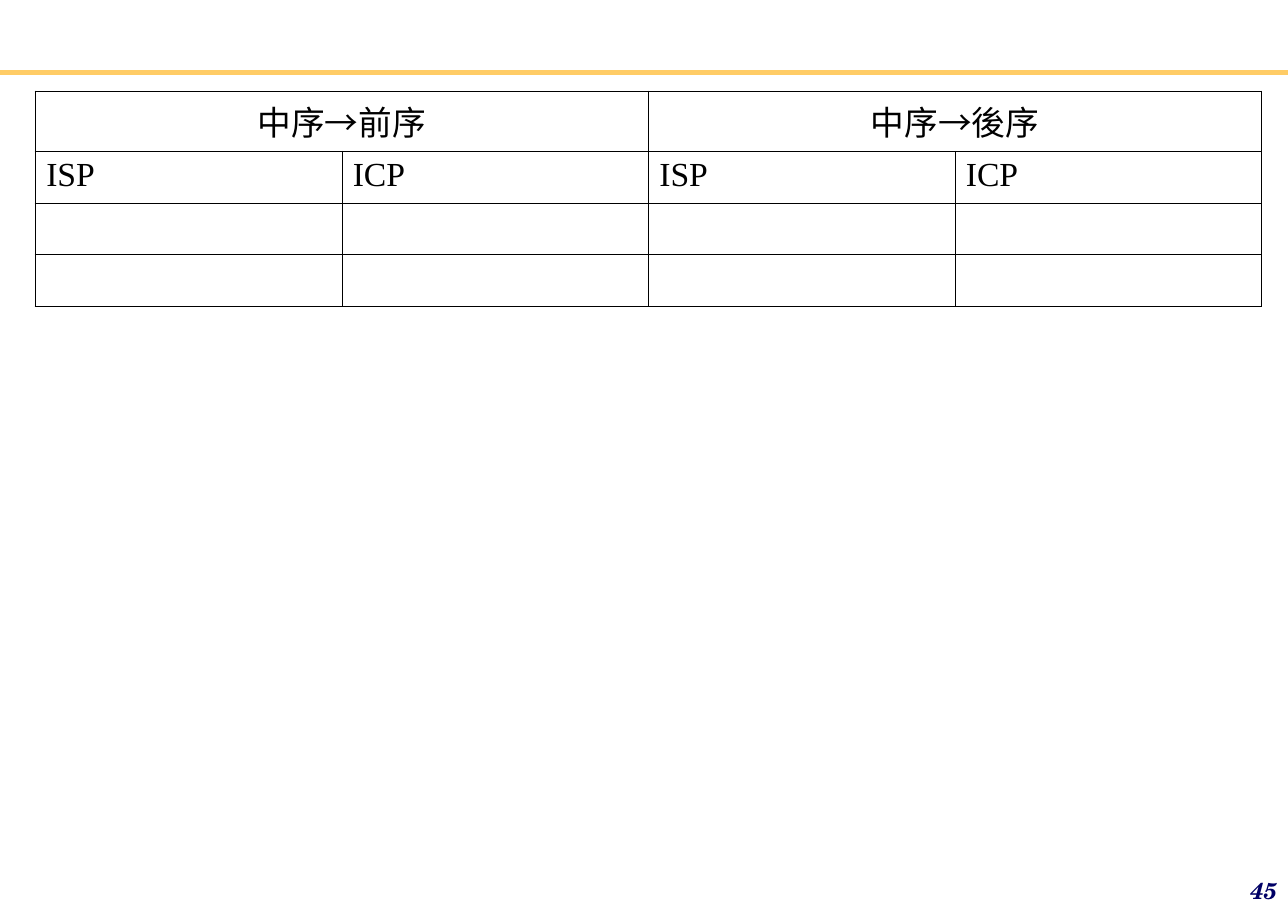
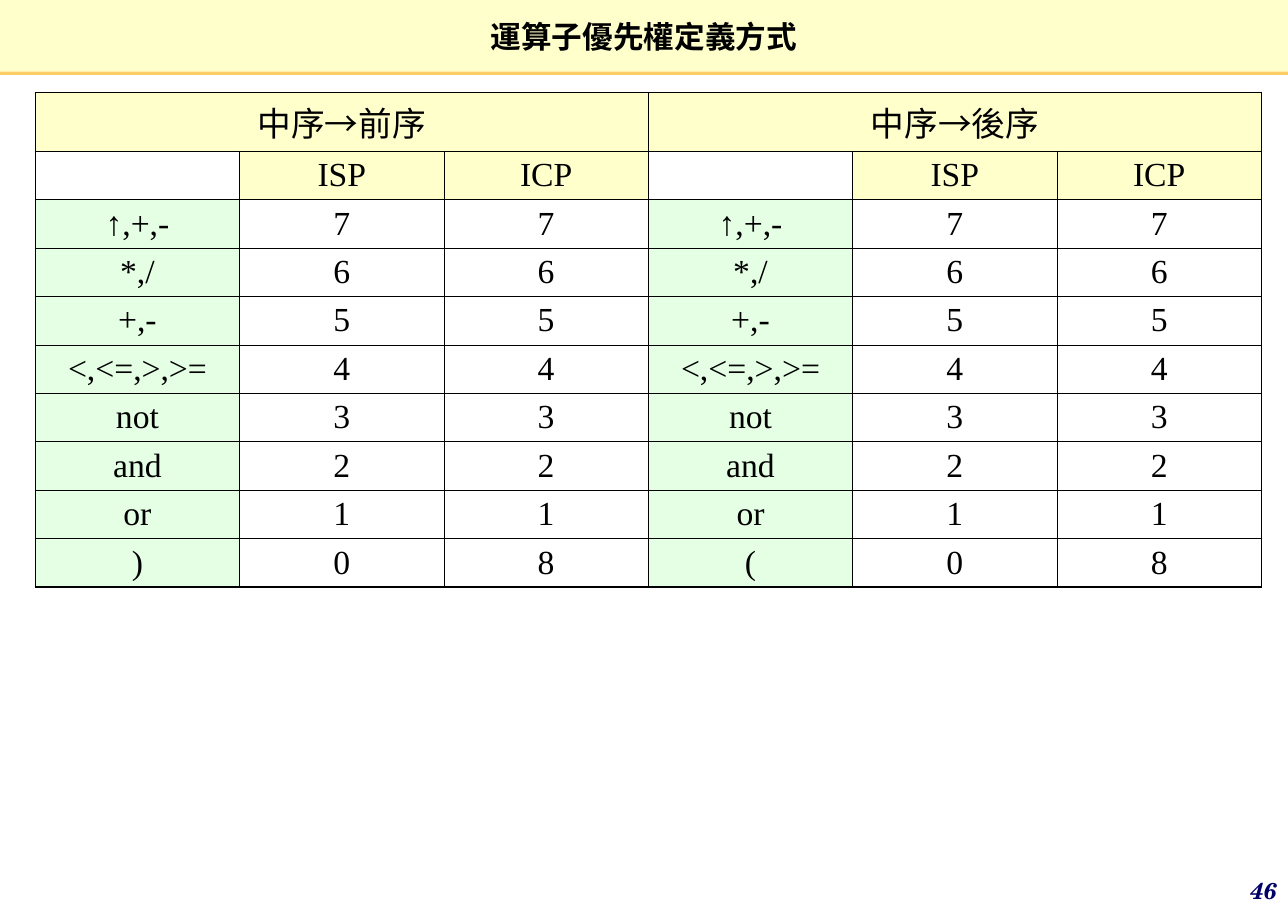
from dataclasses import dataclass

from lxml.etree import SubElement
from pptx import Presentation
from pptx.dml.color import RGBColor as RGB
from pptx.enum.text import MSO_ANCHOR as ANCHOR, MSO_AUTO_SIZE as FIT, PP_ALIGN as ALIGN
from pptx.oxml import parse_xml
from pptx.oxml.ns import nsdecls, qn
from pptx.util import Inches, Pt


@dataclass(frozen=True)
class Theme:
    black: RGB = RGB.from_string("000000")
    navy: RGB = RGB.from_string("000066")
    gold: RGB = RGB.from_string("FFCC66")
    cream: RGB = RGB.from_string("FFFFCC")
    mint: RGB = RGB.from_string("E5FFE5")
    text_font: str = "Times New Roman"
    number_font: str = "TeX Gyre Schola"
    title_size: Pt = Pt(20)
    table_size: Pt = Pt(22)
    number_size: Pt = Pt(15)
    outer_line: Pt = Pt(1.08)
    inner_line: Pt = Pt(0.45)


T = Theme()
WIDTH, HEIGHT = 11.69, 8.27


def add_text(p, text, size, align, font=T.text_font, color=T.black, bold=False, italic=False):
    p.alignment = align
    r = p.add_run()
    r.text = text
    r.font.name, r.font.size = font, size
    r.font.bold, r.font.italic = bold, italic
    r.font.color.rgb = color


def add_borders(cell, outer_sides):
    tcPr = cell._tc.get_or_add_tcPr()
    for i, side in enumerate("LRTB"):
        width = T.outer_line if side in outer_sides else T.inner_line
        tcPr.insert(i, parse_xml(
            f'<a:ln{side} {nsdecls("a")} w="{int(width)}"><a:solidFill>'
            f'<a:srgbClr val="{T.black}"/></a:solidFill></a:ln{side}>'))


prs = Presentation()
prs.slide_width, prs.slide_height = Inches(WIDTH), Inches(HEIGHT)
layout = prs.slide_layouts[5]

headings = ["中序→前序", "中序→後序"]
operators = ["↑,+,-", "*,/", "+,-", "<,<=,>,>=", "not", "and", "or"]
priorities = [[op, str(7 - i), str(7 - i)] * 2 for i, op in enumerate(operators)]
pages = [
    dict(title=None, top=0.83, row_height=0.47, bottom_margin=0.05,
         align=ALIGN.LEFT, colored=False,
         rows=[["ISP", "ICP"] * 2, [""] * 4, [""] * 4]),
    dict(title="運算子優先權定義方式", top=0.84, row_height=0.44, bottom_margin=0.04,
         align=ALIGN.CENTER, colored=True,
         rows=[["", "ISP", "ICP"] * 2, *priorities, [")", "0", "8", "(", "0", "8"]]),
]

for number, page in enumerate(pages, 45):
    s = prs.slides.add_slide(layout)

    if number == 45:
        rule = s.shapes.add_connector(1, 0, Inches(0.66), Inches(WIDTH), Inches(0.66))
        rule.line.color.rgb, rule.line.width = T.gold, Pt(3)
        SubElement(rule._element.spPr, qn("a:effectLst"))
        layout.shapes._spTree.append(rule._element)

    title = s.shapes.title
    if page["title"]:
        title.left, title.top = Inches(0), Inches(0)
        title.width, title.height = Inches(WIDTH), Inches(0.65)
        title.fill.solid()
        title.fill.fore_color.rgb = T.cream
        tf = title.text_frame
        tf.auto_size, tf.vertical_anchor = FIT.NONE, ANCHOR.MIDDLE
        tf.margin_left = tf.margin_right = tf.margin_top = tf.margin_bottom = 0
        add_text(tf.paragraphs[0], page["title"], T.title_size, ALIGN.CENTER, bold=True)
    else:
        title._element.getparent().remove(title._element)

    cols = len(page["rows"][0])
    half = cols // 2
    pad = [""] * (half - 1)
    rows = [[headings[0], *pad, headings[1], *pad], *page["rows"]]
    height = 0.53 + page["row_height"] * len(page["rows"])
    table = s.shapes.add_table(len(rows), cols, Inches(0.32), Inches(page["top"]),
                               Inches(11.13), Inches(height)).table
    table.first_row = table.horz_banding = False
    for i, row in enumerate(table.rows):
        row.height = Inches(page["row_height"] if i else 0.53)
    for c in (0, half):
        table.cell(0, c).merge(table.cell(0, c + half - 1))

    for i, texts in enumerate(rows):
        for c, text in enumerate(texts):
            cell = table.cell(i, c)
            cell.margin_left = cell.margin_right = Inches(0.1)
            cell.margin_top = Inches(0.05)
            cell.margin_bottom = Inches(page["bottom_margin"])
            if text:
                align = page["align"] if i else ALIGN.CENTER
                add_text(cell.text_frame.paragraphs[0], text, T.table_size, align)
            if page["colored"] and text and (i < 2 or c % half == 0):
                cell.fill.solid()
                cell.fill.fore_color.rgb = T.cream if i < 2 else T.mint
            else:
                cell.fill.background()
            edges = {"L": c == 0, "R": c + cell.span_width == cols,
                     "T": i == 0, "B": i == len(rows) - 1}
            add_borders(cell, [side for side, outer in edges.items() if outer])

    box = s.shapes.add_textbox(Inches(9.26), Inches(7.95), Inches(2.44), Inches(0.31))
    tf = box.text_frame
    tf.word_wrap, tf.vertical_anchor = True, ANCHOR.BOTTOM
    tf.margin_left = tf.margin_right = Inches(0.11)
    tf.margin_top = tf.margin_bottom = Inches(0.05)
    add_text(tf.paragraphs[0], str(number), T.number_size, ALIGN.RIGHT,
             T.number_font, T.navy, bold=True, italic=True)

prs.save("out.pptx")
